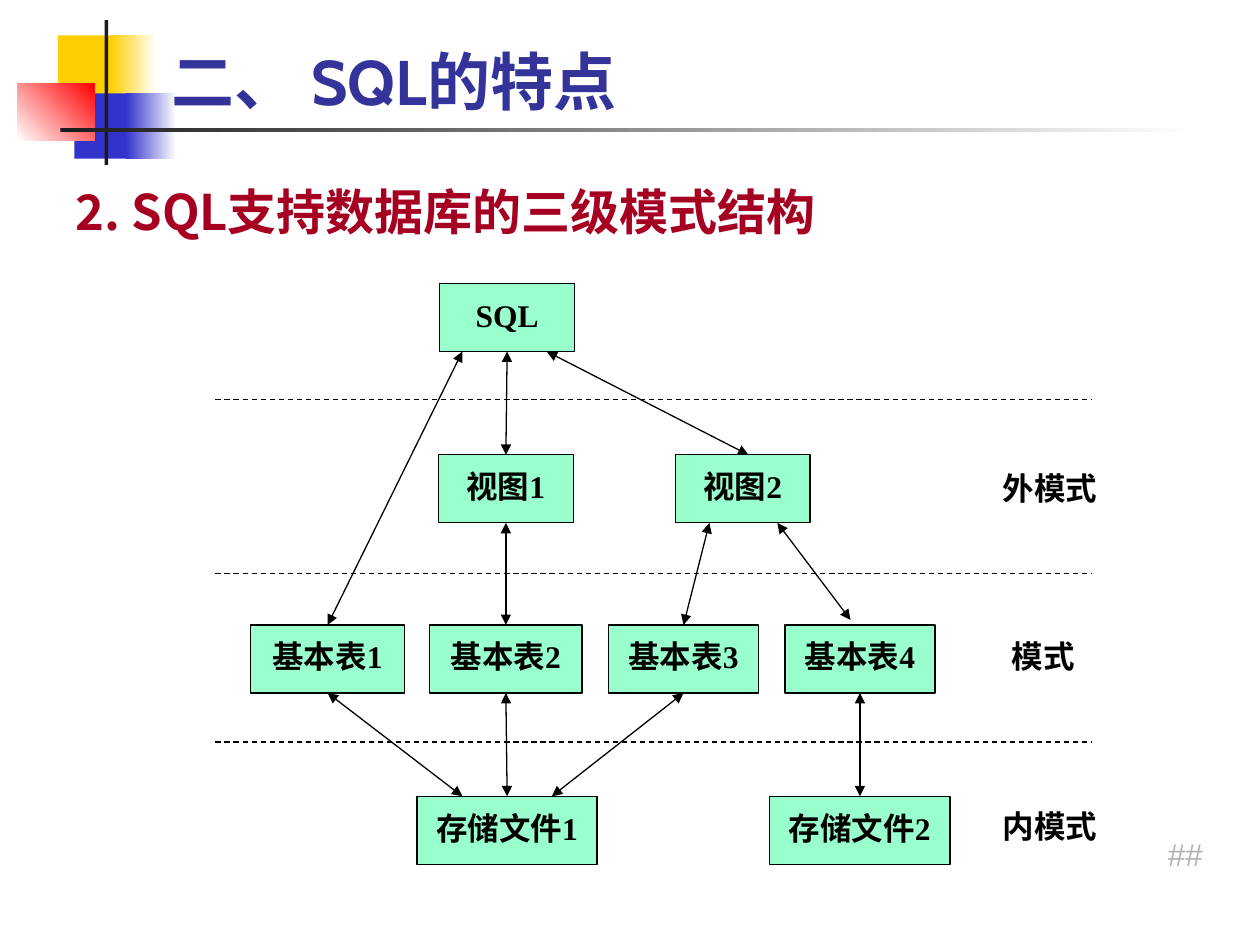
import pptx
import pptx.dml.color
import pptx.enum.dml
import pptx.enum.shapes
import pptx.enum.text
import pptx.oxml
import pptx.oxml.ns
import pptx.util
from pptx.util import Inches

ALIGN = pptx.enum.text.PP_ALIGN
ANCHOR = pptx.enum.text.MSO_ANCHOR
EAST_ASIAN_FONT = "Noto Sans CJK SC"
TOP, BOTTOM = 0, 2
BOX_HEIGHT = 0.54
VIEW_TOP, TABLE_TOP, FILE_TOP = 3.61, 4.96, 6.32
DIAGRAM_FONT = {"name": "Times New Roman", "size": pptx.util.Pt(18), "bold": True}

DECORATIONS = [
    ((0.46, 0.28, 0.48, 0.52), ["FFCF01"], 0),
    ((0.88, 0.28, 0.36, 0.52), ["FFCF01", "FFFFFF"], 0),
    ((0.59, 0.74, 0.46, 0.52), ["3333CC"], 0),
    ((1, 0.74, 0.4, 0.52), ["3333CC", "FFFFFF"], 0),
    ((0.14, 0.66, 0.61, 0.46), ["FFFFFF", "FF0000"], 45),
    ((0.83, 0.16, 0.03, 1.15), ["1C1C1C"], 0),
    ((0.48, 1.02, 9, 0.03), ["1C1C1C", "FFFFFF"], 0),
]

BOXES = [
    ("SQL", 3.49, 2.25, 1.07),
    ("视图1", 3.48, VIEW_TOP, 1.07),
    ("视图2", 5.36, VIEW_TOP, 1.07),
    ("基本表1", 1.99, TABLE_TOP, 1.22),
    ("基本表2", 3.41, TABLE_TOP, 1.21),
    ("基本表3", 4.83, TABLE_TOP, 1.19),
    ("基本表4", 6.23, TABLE_TOP, 1.19),
    ("存储文件1", 3.31, FILE_TOP, 1.43),
    ("存储文件2", 6.11, FILE_TOP, 1.43),
]

JOINED_ARROWS = [
    ("SQL", "视图1"),
    ("视图1", "基本表2"),
    ("基本表2", "存储文件1"),
    ("基本表4", "存储文件2"),
]

ANGLED_ARROWS = [
    ((3.67, 2.79), (2.6, TABLE_TOP), None, "基本表1"),
    ((4.34, 2.79), (5.94, VIEW_TOP), None, None),
    ((5.63, 4.15), (5.45, TABLE_TOP), None, "基本表3"),
    ((6.17, 4.15), (6.75, 4.92), None, None),
    ((2.6, 5.5), (3.67, FILE_TOP), "基本表1", None),
    ((5.45, 5.5), (4.38, FILE_TOP), "基本表3", None),
]

LEVEL_LABELS = [
    ("外模式", (7.84, 3.49, 0.99, 0.76), ALIGN.CENTER),
    ("模式", (7.81, 4.83, 0.94, 0.75), ALIGN.CENTER),
    ("内模式", (7.86, 6.19, 0.98, 0.73), ALIGN.JUSTIFY),
]


def color(value):
    """Turn a hex string into a colour."""
    return pptx.dml.color.RGBColor.from_string(value)


def apply_format(target, values):
    """Set every attribute named in a dict of format values."""
    for name, value in values.items():
        setattr(target, name, value)


def write_text(shape, text, font, hex_color="000000", frame=None, paragraph_format=None):
    """Write one formatted paragraph into a shape."""
    apply_format(shape.text_frame, {"word_wrap": True, **(frame or {})})
    paragraph = shape.text_frame.paragraphs[0]
    apply_format(paragraph, paragraph_format or {})
    run = paragraph.add_run()
    run.text = text
    apply_format(run.font, font)
    run.font.color.rgb = color(hex_color)
    east_asian = pptx.oxml.parse_xml(
        f'<a:ea {pptx.oxml.ns.nsdecls("a")} typeface="{EAST_ASIAN_FONT}"/>')
    run.font._element.find(pptx.oxml.ns.qn("a:latin")).addnext(east_asian)


def add_text(slide, position, *text_arguments):
    """Add a text box at a position given in inches."""
    shape = slide.shapes.add_textbox(*map(Inches, position))
    write_text(shape, *text_arguments)


def add_rectangle(slide, position, fill_colors, angle=0):
    """Add a borderless rectangle with a solid or gradient fill."""
    shape = slide.shapes.add_shape(
        pptx.enum.shapes.MSO_SHAPE.RECTANGLE, *map(Inches, position))
    shape.shadow.inherit = False
    shape.line.fill.background()
    if len(fill_colors) == 1:
        shape.fill.solid()
        shape.fill.fore_color.rgb = color(fill_colors[0])
    else:
        shape.fill.gradient()
        shape.fill.gradient_angle = angle
        for stop, value in zip(shape.fill.gradient_stops, fill_colors):
            stop.color.rgb = color(value)
    return shape


def add_box(slide, text, left, top, width):
    """Add a labelled diagram box."""
    shape = add_rectangle(slide, (left, top, width, BOX_HEIGHT), ["99FFCC"])
    shape.line.color.rgb = color("000000")
    shape.line.width = pptx.util.Pt(0.75)
    frame = {"vertical_anchor": ANCHOR.MIDDLE, "margin_left": 0, "margin_right": 0}
    write_text(shape, text, DIAGRAM_FONT, "000000", frame,
               {"alignment": ALIGN.CENTER, "line_spacing": 0.88})
    return shape


def add_line(slide, start, end):
    """Add a thin black straight connector."""
    connector = slide.shapes.add_connector(
        pptx.enum.shapes.MSO_CONNECTOR.STRAIGHT, *map(Inches, (*start, *end)))
    connector.line.color.rgb = color("000000")
    connector.line.width = pptx.util.Pt(0.75)
    connector._element.spPr.append(
        pptx.oxml.parse_xml(f'<a:effectLst {pptx.oxml.ns.nsdecls("a")}/>'))
    return connector


def add_arrow(slide, start, end, upper=None, lower=None):
    """Add a double-headed arrow, joined to the boxes that are given."""
    connector = add_line(slide, start, end)
    for tag in ("headEnd", "tailEnd"):
        connector.line._get_or_add_ln().append(pptx.oxml.parse_xml(
            f'<a:{tag} {pptx.oxml.ns.nsdecls("a")} type="triangle"/>'))
    if upper is not None:
        connector.begin_connect(upper, BOTTOM)
    if lower is not None:
        connector.end_connect(lower, TOP)


def add_diagram(slide):
    """Add the three-level schema diagram."""
    boxes = {text: add_box(slide, text, *place) for text, *place in BOXES}
    for height in (3.17, 4.55, 5.89):
        divider = add_line(slide, (1.71, height), (8.67, height))
        divider.line.dash_style = pptx.enum.dml.MSO_LINE.DASH
    for upper, lower in JOINED_ARROWS:
        add_arrow(slide, (0, 0), (0, 0), boxes[upper], boxes[lower])
    for start, end, upper, lower in ANGLED_ARROWS:
        add_arrow(slide, start, end, boxes.get(upper), boxes.get(lower))
    for text, position, alignment in LEVEL_LABELS:
        add_text(slide, position, text, DIAGRAM_FONT, "000000",
                 {"vertical_anchor": ANCHOR.MIDDLE}, {"alignment": alignment})


def main():
    """Build the slide and save it."""
    presentation = pptx.Presentation()
    presentation.slide_width = Inches(10)
    presentation.slide_height = Inches(7.5)
    slide = presentation.slides.add_slide(presentation.slide_layouts[6])
    for position, fill_colors, angle in DECORATIONS:
        add_rectangle(slide, position, fill_colors, angle)
    add_text(slide, (1.26, 0.08, 8.52, 0.91), "二、 SQL的特点",
             {"name": "Cabin", "size": pptx.util.Pt(36), "bold": True}, "333399",
             {"vertical_anchor": ANCHOR.BOTTOM})
    add_text(slide, (0.42, 1.25, 9.25, 0.71), "2. SQL支持数据库的三级模式结构",
             {"name": EAST_ASIAN_FONT, "size": pptx.util.Pt(28), "bold": True}, "A50021",
             {"margin_left": Inches(0.18)},
             {"alignment": ALIGN.JUSTIFY, "line_spacing": 1.3})
    add_diagram(slide)
    add_text(slide, (9.17, 6.58, 0.75, 0.4), "##",
             {"name": "Arial", "size": pptx.util.Pt(18)}, "B2B2B2")
    presentation.save("out.pptx")


if __name__ == "__main__":
    main()
